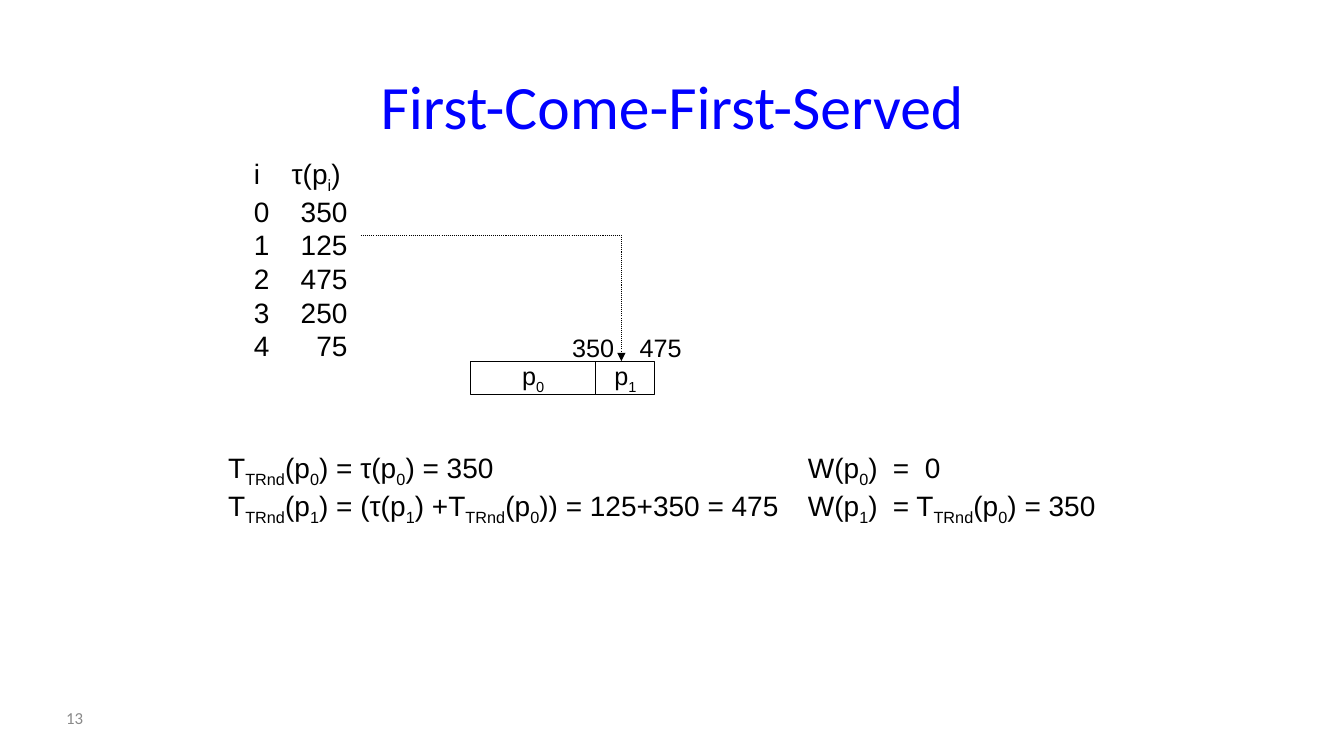
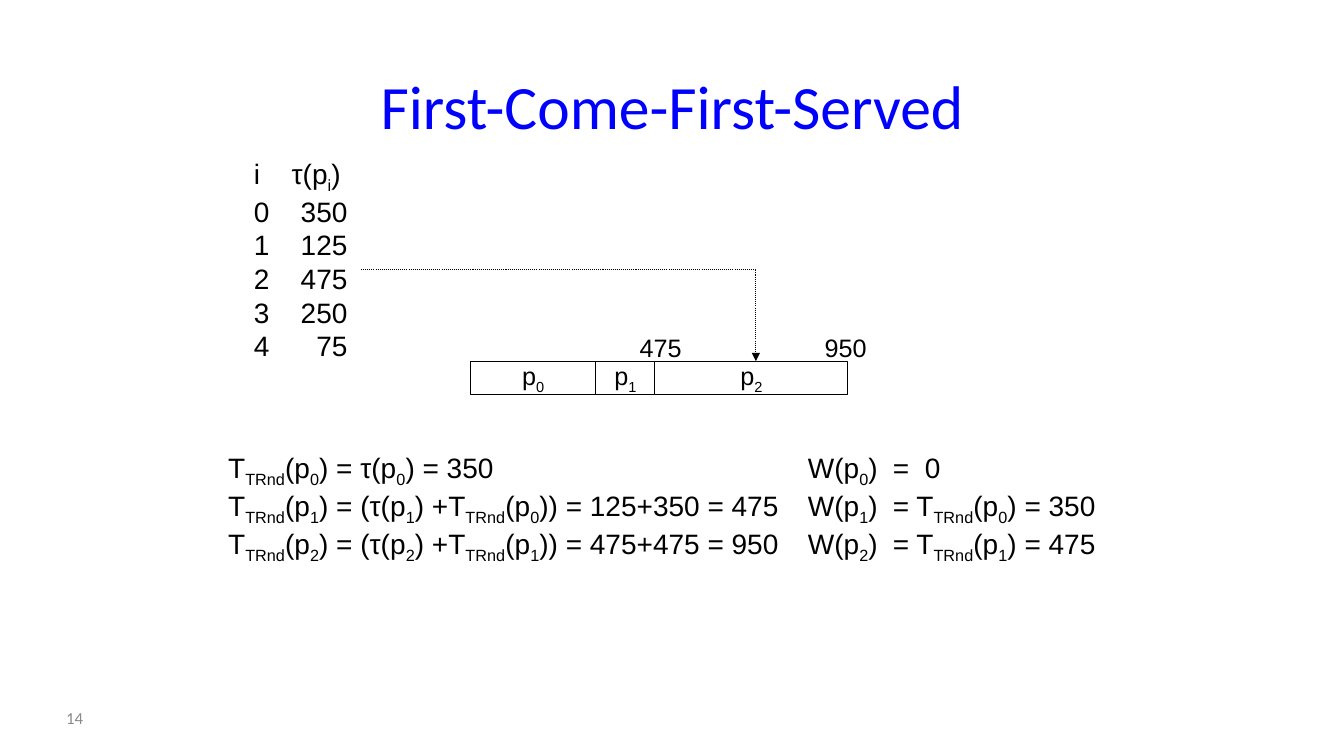
"""Build two slides that step through first-come-first-served scheduling."""
from dataclasses import dataclass
from itertools import accumulate

from lxml.etree import SubElement
from pptx import Presentation
from pptx.dml.color import RGBColor
from pptx.enum.dml import MSO_LINE
from pptx.enum.shapes import MSO_SHAPE
from pptx.enum.text import MSO_ANCHOR, PP_ALIGN
from pptx.oxml.ns import qn
from pptx.util import Cm, Pt


@dataclass(frozen=True)
class Theme:
    blue: RGBColor = RGBColor(0, 0, 255)
    ink: RGBColor = RGBColor(0, 0, 0)
    gray: RGBColor = RGBColor(0x89, 0x89, 0x89)
    paper: RGBColor = RGBColor(255, 255, 255)
    head: str = "Calibri"
    body: str = "Arial"
    title: int = 44
    main: int = 20
    label: int = 18
    foot: int = 12
    line: float = 0.75


@dataclass(frozen=True)
class Bar:
    width: float
    mark: float
    tip: float


THEME = Theme()
TIMES = [350, 125, 475, 250, 75]
ENDS = list(accumulate(TIMES))
BARS = [Bar(3.17, 3.1, 1.58), Bar(1.48, 4.8, 3.81), Bar(4.87, 9.46, 7.19)]


def write(frame, lines, font=THEME.body, size=THEME.main, color=THEME.ink,
          align=PP_ALIGN.LEFT, anchor=MSO_ANCHOR.TOP, tabs=(), first=None, inset=None):
    """Fill a text frame with lines in which ~ encloses subscripts."""
    frame.word_wrap = True
    frame.vertical_anchor = anchor
    if inset is not None:
        frame.margin_left = frame.margin_right = Cm(inset)
        frame.margin_top = frame.margin_bottom = Cm(inset)
    for row, line in enumerate(lines):
        para = frame.add_paragraph() if row else frame.paragraphs[0]
        stops = first if first and row == 0 else tabs
        if stops:
            group = SubElement(para._p.get_or_add_pPr(), qn("a:tabLst"))
            for pos, kind in stops:
                SubElement(group, qn("a:tab"), pos=str(Cm(pos)), algn=kind)
        para.alignment = align
        for part, words in enumerate(line.split("~")):
            if not words:
                continue
            run = para.add_run()
            run.text = words
            run.font.name = font
            run.font.size = Pt(size)
            run.font.color.rgb = color
            if part % 2:
                run._r.get_or_add_rPr().set("baseline", "-25000")


def text(slide, box, lines, **style):
    """Add a text box at a box given in centimetres."""
    write(slide.shapes.add_textbox(*map(Cm, box)).text_frame, lines, **style)


def frame(slide, page):
    """Add the shared title and page number."""
    text(slide, (6.15, 1.7, 21.59, 1.9), ["First-Come-First-Served"], font=THEME.head,
         size=THEME.title, color=THEME.blue, align=PP_ALIGN.CENTER, anchor=MSO_ANCHOR.MIDDLE)
    text(slide, (1.42, 17.58, 3.66, 1.02), [str(page)], font=THEME.head,
         size=THEME.foot, color=THEME.gray, anchor=MSO_ANCHOR.MIDDLE)


def jobs(slide, box):
    """List each job with its service time."""
    rows = [f"{job}\t{time}" for job, time in enumerate(TIMES)]
    text(slide, box, ["i\tτ(p~i~)"] + rows, tabs=[(2.36, "r")], first=[(0.95, "l")])


def chart(slide, box, count):
    """Draw the bars of the finished jobs with the last two end times."""
    left, top, high = box
    edge = left
    for job, bar in enumerate(BARS[:count]):
        rect = slide.shapes.add_shape(MSO_SHAPE.RECTANGLE, *map(Cm, (edge, top, bar.width, high)))
        rect.shadow.inherit = False
        rect.fill.solid()
        rect.fill.fore_color.rgb = THEME.paper
        rect.line.color.rgb = THEME.ink
        rect.line.width = Pt(THEME.line)
        write(rect.text_frame, [f"p~{job}~"], size=THEME.label, align=PP_ALIGN.CENTER,
              anchor=MSO_ANCHOR.MIDDLE, inset=0)
        if job >= count - 2:
            text(slide, (left + bar.mark - 0.79, top - 0.85, 1.58, 1.02), [str(ENDS[job])],
                 size=THEME.label, align=PP_ALIGN.CENTER)
        edge += bar.width


def arrow(slide, start, end):
    """Draw a dotted arrow that runs right and then down."""
    (left, top), (right, low) = start, end
    path = slide.shapes.build_freeform(Cm(left), Cm(top), scale=1.0)
    path.add_line_segments([(Cm(right), Cm(top)), (Cm(right), Cm(low))], close=False)
    shape = path.convert_to_shape()
    shape.shadow.inherit = False
    shape.fill.background()
    shape.line.color.rgb = THEME.ink
    shape.line.width = Pt(THEME.line)
    shape.line.dash_style = MSO_LINE.ROUND_DOT
    SubElement(shape.line._get_or_add_ln(), qn("a:tailEnd"), type="triangle")


def sums(slide, box, count):
    """Write the turnaround and waiting times side by side."""
    left, top, wide, high = box
    turn = [f"T~TRnd~(p~0~) = τ(p~0~) = {TIMES[0]}"]
    wait = ["W(p~0~)\t=\t0"]
    for job in range(1, count):
        last = job - 1
        turn.append(f"T~TRnd~(p~{job}~) = (τ(p~{job}~) +T~TRnd~(p~{last}~))"
                    f" = {TIMES[job]}+{ENDS[last]} = {ENDS[job]}")
        wait.append(f"W(p~{job}~)\t= T~TRnd~(p~{last}~) = {ENDS[last]}")
    text(slide, (left, top, wide, high), turn)
    text(slide, (left + 14.61, top, 8.1, high), wait, tabs=[(2.14, "l"), (2.95, "l")])


def build(deck, page, count):
    """Build the slide on which the given number of jobs is done."""
    slide = deck.slides.add_slide(deck.slide_layouts[6])
    left, top = 11.85, 9.1
    frame(slide, page)
    jobs(slide, (6.15, 3.81, 3.2, 5.38))
    chart(slide, (left, top, 0.85), count)
    sums(slide, (5.5, 11.22, 14.9, 0.26 + 0.85 * count), count)
    arrow(slide, (9.1, 4.23 + 0.85 * count), (left + BARS[count - 1].tip + (count == 3 and 0.01), top))


def main():
    """Save the deck."""
    deck = Presentation()
    deck.slide_width, deck.slide_height = Cm(33.87), Cm(19.05)
    for page, count in [(13, 2), (14, 3)]:
        build(deck, page, count)
    deck.save("out.pptx")


if __name__ == "__main__":
    main()
